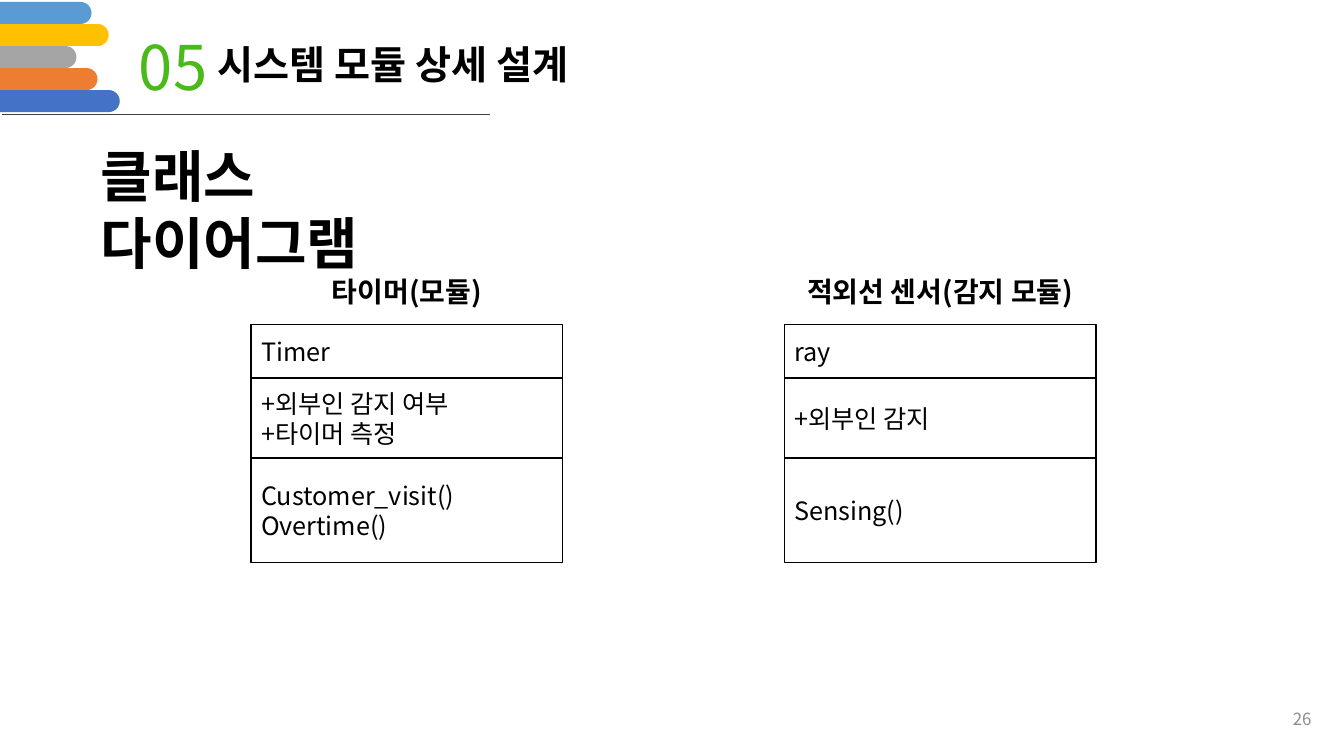
from pptx import Presentation
from pptx.dml.color import RGBColor
from pptx.enum import shapes, text
from pptx.oxml.ns import qn
from pptx.util import Cm, Pt
from lxml import etree

FONT = "Noto Sans CJK KR"
LEFT, CENTER, RIGHT = text.PP_ALIGN.LEFT, text.PP_ALIGN.CENTER, text.PP_ALIGN.RIGHT
TOP, MIDDLE = text.MSO_ANCHOR.TOP, text.MSO_ANCHOR.MIDDLE


def rgb(value):
    return RGBColor.from_string(value)


def write(sp, lines, size, color="000000", bold=False, align=LEFT, anchor=TOP, wrap=True):
    tf = sp.text_frame
    tf.word_wrap = wrap
    tf.auto_size = text.MSO_AUTO_SIZE.NONE
    tf.vertical_anchor = anchor
    tf.text = "\n".join(lines)
    for p in tf.paragraphs:
        p.alignment = align
        p.line_spacing = 1.0
        f = p.font
        f.size, f.bold, f.name = Pt(size), bold, FONT
        f.color.rgb = rgb(color)
        # Korean letters take the East Asian font
        props = p._p.pPr.find(qn("a:defRPr"))
        etree.SubElement(props, qn("a:ea")).set("typeface", FONT)


def add_label(s, x, y, w, h, lines, size, **style):
    sp = s.shapes.add_textbox(Cm(x), Cm(y), Cm(w), Cm(h))
    write(sp, lines, size, **style)


def add_block(parent, kind, x, y, w, h, fill=None, line=None):
    sp = parent.shapes.add_shape(kind, Cm(x), Cm(y), Cm(w), Cm(h))
    sp.shadow.inherit = False
    if fill:
        sp.fill.solid()
        sp.fill.fore_color.rgb = rgb(fill)
    else:
        sp.fill.background()
    if line:
        sp.line.color.rgb = rgb(line)
        sp.line.width = Pt(1)
    else:
        sp.line.fill.background()
    return sp


def add_bars(s, x, y, h):
    """Stack of coloured bars with round ends."""
    bars = [("5B9BD5", 2.03), ("FFC000", 2.46), ("A5A5A5", 1.65),
            ("ED7D31", 2.18), ("4472C4", 2.74)]
    group = s.shapes.add_group_shape()
    for i, (color, length) in enumerate(bars):
        top = y + i * h
        add_block(group, shapes.MSO_SHAPE.RECTANGLE, x, top, length, h, color)
        add_block(group, shapes.MSO_SHAPE.OVAL, x + length - h / 2, top, h, h, color)


def add_header(s, x, y, number, title):
    # Rule under the header
    rule = s.shapes.add_connector(shapes.MSO_CONNECTOR.STRAIGHT,
                                  Cm(x + 0.05), Cm(y + 2.87), Cm(x + 12.35), Cm(y + 2.87))
    rule.line.color.rgb = rgb("404040")
    rule.line.width = Pt(0.5)
    etree.SubElement(rule._element.spPr, qn("a:effectLst"))

    add_bars(s, x, y + 0.05, 0.555)

    # Section number and title
    add_label(s, x + 3.25, y + 0.61, 2.23, 2.13, [number], 44, color="4ABA1A", wrap=False)
    sp = s.shapes.title
    sp.left, sp.top, sp.width, sp.height = Cm(x + 5.23), Cm(y + 0.89), Cm(19.4), Cm(1.45)
    write(sp, [title], 28, bold=True)


def add_class(s, x, y, w, caption, cells):
    """Caption over the name, attribute and method cells of a class."""
    add_label(s, x, y, w, 1.68, [caption], 20, bold=True, align=CENTER, anchor=MIDDLE)
    top = y + 1.68
    for lines, h in zip(cells, (1.35, 2.01, 2.64)):
        sp = add_block(s, shapes.MSO_SHAPE.RECTANGLE, x, top, w, h, line="000000")
        write(sp, lines, 18, anchor=MIDDLE)
        top += h


def class_slide(prs):
    s = prs.slides.add_slide(prs.slide_layouts[5])
    add_header(s, 0, 0, "05", "시스템 모듈 상세 설계")
    add_label(s, 2.29, 3.43, 10.49, 1.96, ["클래스 다이어그램"], 40, bold=True)

    # Class boxes
    classes = [
        ("타이머(모듈)", [["Timer"], ["+외부인 감지 여부", "+타이머 측정"],
                     ["Customer_visit()", "Overtime()"]]),
        ("적외선 센서(감지 모듈)", [["ray"], ["+외부인 감지"], ["Sensing()"]]),
    ]
    for i, (caption, cells) in enumerate(classes):
        add_class(s, 6.33 + i * 13.44, 6.5, 7.85, caption, cells)

    # Page number
    add_label(s, 25.68, 17.6, 7.62, 1.02, ["26"], 12, color="8C8C8C",
              align=RIGHT, anchor=MIDDLE)


def main():
    prs = Presentation()
    prs.slide_width, prs.slide_height = Cm(33.87), Cm(19.05)
    class_slide(prs)
    prs.save("out.pptx")


if __name__ == "__main__":
    main()
